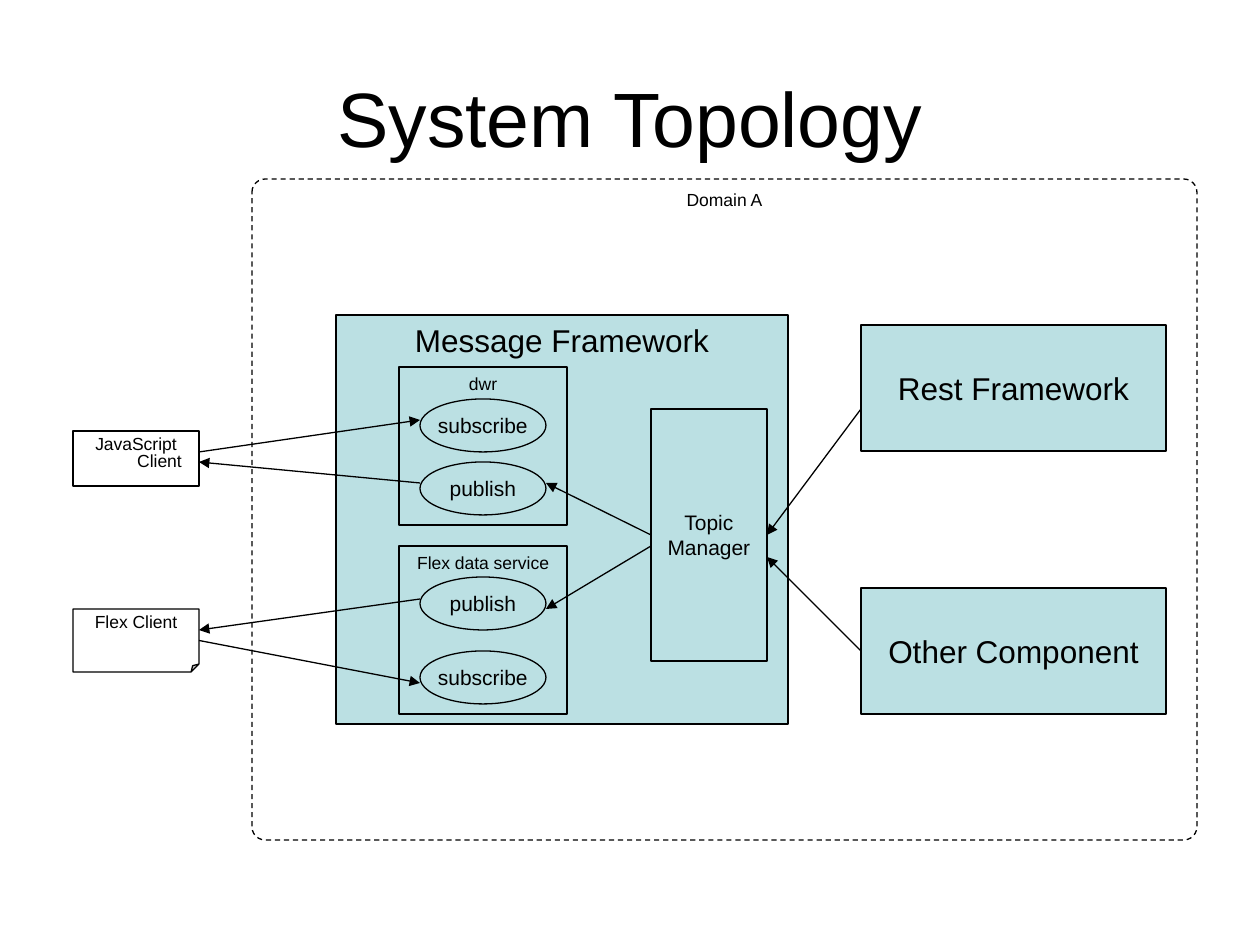
from lxml import etree
from pptx import Presentation
from pptx.dml.color import RGBColor
from pptx.enum.dml import MSO_LINE
from pptx.enum.shapes import MSO_CONNECTOR, MSO_SHAPE as Shape
from pptx.enum.text import MSO_ANCHOR as Anchor, PP_ALIGN
from pptx.oxml.ns import qn
from pptx.util import Pt

BLACK = RGBColor(0x00, 0x00, 0x00)
WHITE = RGBColor(0xFF, 0xFF, 0xFF)
TEAL = RGBColor(0xBB, 0xE0, 0xE3)
PX = 914400 / 126
FONT = "Arial"
HANGING = 47
LEFT, RIGHT = 1, 3

TITLE = ("System Topology", (63, 38, 1134, 158), 44)

CLIENTS = [
    ("js_client", Shape.RECTANGLE, (73, 431, 126, 55), "JavaScript Client"),
    ("flex_client", Shape.FOLDED_CORNER, (73, 609, 126, 63), "Flex Client"),
]
DOMAIN = ((252, 179, 945, 661), "Domain A")
BOXES = [
    ("rest", (861, 325, 305, 126), ["Rest Framework"], 18, Anchor.MIDDLE),
    ("framework", (336, 315, 452, 409), ["Message Framework"], 18, Anchor.TOP),
    ("other", (861, 588, 305, 126), ["Other Component"], 18, Anchor.MIDDLE),
    ("topics", (651, 409, 116, 252), ["Topic", "Manager"], 12, Anchor.MIDDLE),
    ("dwr", (399, 367, 168, 158), ["dwr"], 10, Anchor.TOP),
    ("flex_service", (399, 546, 168, 168), ["Flex data service"], 10, Anchor.TOP),
]
ENDPOINT_LEFT, ENDPOINT_SIZE = 420, (126, 53)
ENDPOINTS = [(399, "subscribe"), (462, "publish"), (577, "publish"), (651, "subscribe")]

ARROWS = [
    ((651, 546), (546, 609), None, None),
    ((651, 535), (546, 483), ("topics", LEFT), None),
    ((861, 651), (767, 557), ("other", LEFT), None),
    ((861, 409), (767, 535), None, ("topics", RIGHT)),
    ((420, 599), (199, 630), None, None),
    ((199, 640), (420, 683), ("flex_client", RIGHT), None),
    ((199, 452), (420, 420), None, None),
    ((420, 483), (199, 462), None, None),
]


def emu(*lengths):
    return [round(length * PX) for length in lengths]


def write(frame, lines, size, anchor, wrap):
    frame.word_wrap = wrap
    frame.vertical_anchor = anchor
    for index, line in enumerate(lines):
        paragraph = frame.add_paragraph() if index else frame.paragraphs[0]
        paragraph.alignment = PP_ALIGN.CENTER
        run = paragraph.add_run()
        run.text = line
        run.font.size = Pt(size)
        run.font.name = FONT
        run.font.color.rgb = BLACK


def outline(line):
    line.color.rgb = BLACK
    line.width = Pt(0.75)


def add_box(slide, kind, area, lines, size, anchor, fill=TEAL, wrap=False):
    box = slide.shapes.add_shape(kind, *emu(*area))
    box.shadow.inherit = False
    box.fill.solid()
    box.fill.fore_color.rgb = fill
    outline(box.line)
    write(box.text_frame, lines, size, anchor, wrap)
    return box


def add_client(slide, kind, area, label):
    client = add_box(slide, kind, area, [label], 10, Anchor.TOP, WHITE, True)
    paragraph = client.text_frame.paragraphs[0]
    paragraph.line_spacing = 0.8
    properties = paragraph._p.get_or_add_pPr()
    indent = emu(HANGING)[0]
    properties.set("marL", str(indent))
    properties.set("indent", str(-indent))
    return client


def set_fold(client, ratio):
    guides = client._element.spPr.find(qn("a:prstGeom")).find(qn("a:avLst"))
    etree.SubElement(guides, qn("a:gd"), name="adj", fmla=f"val {round(ratio * 100000)}")


def add_arrow(slide, start, end, source, target, parts):
    arrow = slide.shapes.add_connector(MSO_CONNECTOR.STRAIGHT, *emu(*start, *end))
    outline(arrow.line)
    etree.SubElement(arrow.line._get_or_add_ln(), qn("a:tailEnd"), type="triangle")
    etree.SubElement(arrow._element.spPr, qn("a:effectLst"))
    if source:
        arrow.begin_connect(parts[source[0]], source[1])
    if target:
        arrow.end_connect(parts[target[0]], target[1])


def main():
    deck = Presentation()
    deck.slide_width, deck.slide_height = emu(1260, 945)
    slide = deck.slides.add_slide(deck.slide_layouts[5])

    heading, area, size = TITLE
    title = slide.shapes.title
    title.left, title.top, title.width, title.height = emu(*area)
    write(title.text_frame, [heading], size, Anchor.MIDDLE, True)

    parts = {}
    for name, kind, area, label in CLIENTS:
        parts[name] = add_client(slide, kind, area, label)
    set_fold(parts["flex_client"], 0.125)

    area, label = DOMAIN
    domain = add_box(slide, Shape.ROUNDED_RECTANGLE, area, [label], 10, Anchor.TOP, WHITE)
    domain.adjustments[0] = 0.02
    domain.line.dash_style = MSO_LINE.DASH

    for name, area, lines, size, anchor in BOXES:
        parts[name] = add_box(slide, Shape.RECTANGLE, area, lines, size, anchor,
                              wrap=name == "topics")
    for top, label in ENDPOINTS:
        add_box(slide, Shape.OVAL, (ENDPOINT_LEFT, top, *ENDPOINT_SIZE), [label], 12, Anchor.MIDDLE)
    for start, end, source, target in ARROWS:
        add_arrow(slide, start, end, source, target, parts)

    deck.save("out.pptx")


if __name__ == "__main__":
    main()
